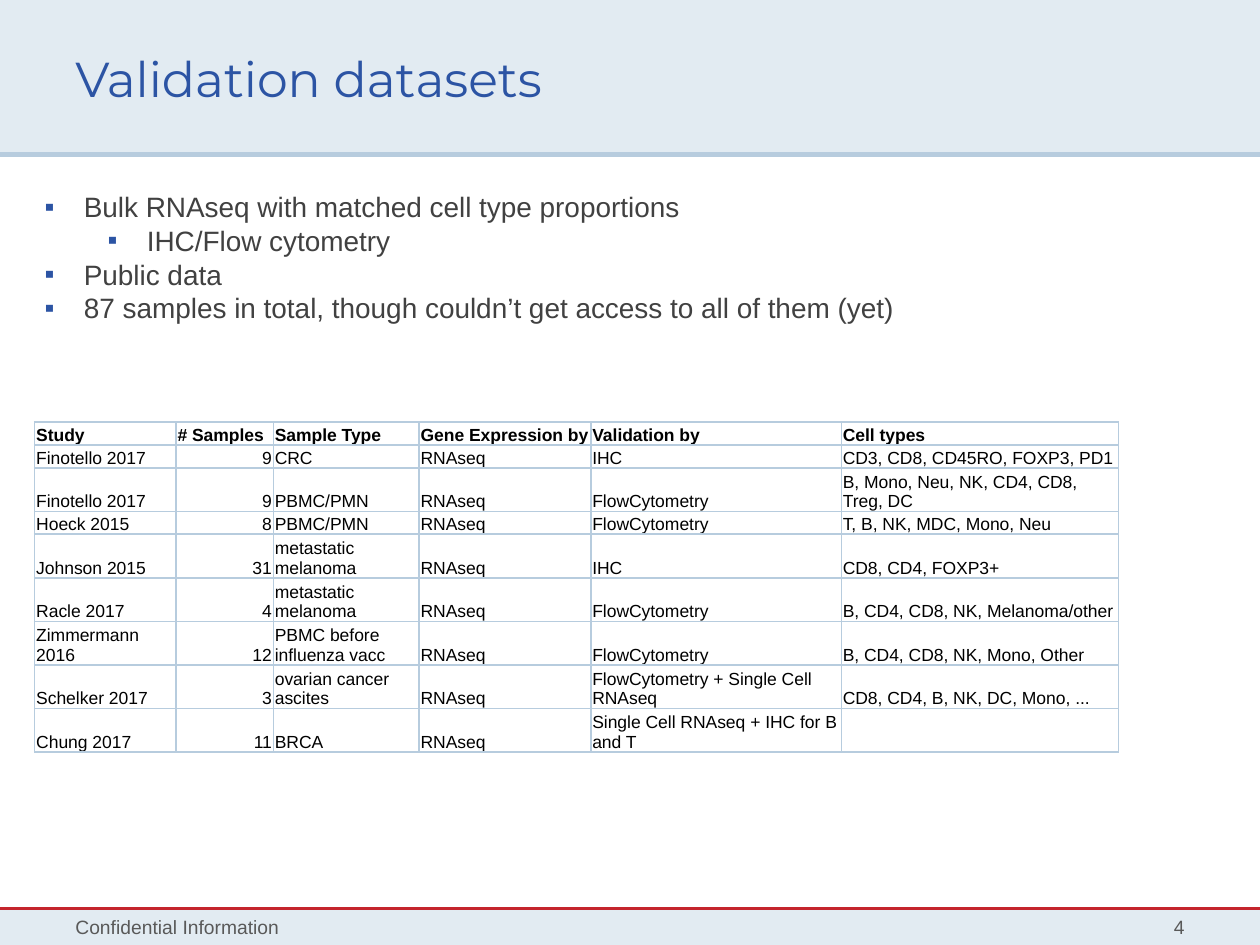
from dataclasses import dataclass
from lxml.etree import SubElement
from pptx import Presentation
from pptx.dml.color import RGBColor
from pptx.enum.shapes import MSO_CONNECTOR, MSO_SHAPE
from pptx.enum.text import MSO_ANCHOR, PP_ALIGN
from pptx.oxml.ns import qn
from pptx.util import Cm, Pt


@dataclass(frozen=True)
class Theme:
    band: str = "E2EBF2"
    rule: str = "B7CCDE"
    accent: str = "2C54A4"
    alert: str = "C4252D"
    body: str = "414141"
    muted: str = "595959"
    ink: str = "000000"
    heading_font: str = "Montserrat"
    body_font: str = "Arial"
    title_size: int = 28
    bullet_size: int = 16
    footer_size: int = 11
    table_size: int = 10


THEME = Theme()
WIDTH, HEIGHT = 25.4, 19.05

BULLETS = [
    ("Bulk RNAseq with matched cell type proportions", 0),
    ("IHC/Flow cytometry", 1),
    ("Public data", 0),
    ("87 samples in total, though couldn’t get access to all of them (yet)", 0),
]
COLUMN_WIDTHS = [2.85, 1.96, 2.94, 3.46, 5.05, 5.59]
SAMPLES_COLUMN = 1
STUDIES = [
    ("Study", "# Samples", "Sample Type", "Gene Expression by", "Validation by", "Cell types"),
    ("Finotello 2017", "9", "CRC", "RNAseq", "IHC", "CD3, CD8, CD45RO, FOXP3, PD1"),
    ("Finotello 2017", "9", "PBMC/PMN", "RNAseq", "FlowCytometry",
     "B, Mono, Neu, NK, CD4, CD8, Treg, DC"),
    ("Hoeck 2015", "8", "PBMC/PMN", "RNAseq", "FlowCytometry", "T, B, NK, MDC, Mono, Neu"),
    ("Johnson 2015", "31", "metastatic melanoma", "RNAseq", "IHC", "CD8, CD4, FOXP3+"),
    ("Racle 2017", "4", "metastatic melanoma", "RNAseq", "FlowCytometry",
     "B, CD4, CD8, NK, Melanoma/other"),
    ("Zimmermann 2016", "12", "PBMC before influenza vacc", "RNAseq", "FlowCytometry",
     "B, CD4, CD8, NK, Mono, Other"),
    ("Schelker 2017", "3", "ovarian cancer ascites", "RNAseq",
     "FlowCytometry + Single Cell RNAseq", "CD8, CD4, B, NK, DC, Mono, ..."),
    ("Chung 2017", "11", "BRCA", "RNAseq", "Single Cell RNAseq + IHC for B and T", ""),
]


def write(paragraph, text, *, size, color, font=THEME.body_font, bold=False, align=PP_ALIGN.LEFT):
    paragraph.alignment = align
    if text:
        run = paragraph.add_run()
        run.text = text
        run.font.name = font
        run.font.size = Pt(size)
        run.font.bold = bold
        run.font.color.rgb = RGBColor.from_string(color)


def add_frame(slide, left, top, width, height, anchor=MSO_ANCHOR.MIDDLE):
    frame = slide.shapes.add_textbox(Cm(left), Cm(top), Cm(width), Cm(height)).text_frame
    frame.word_wrap = True
    frame.vertical_anchor = anchor
    return frame


def add_band(slide, left, top, width, height):
    band = slide.shapes.add_shape(MSO_SHAPE.RECTANGLE, Cm(left), Cm(top), Cm(width), Cm(height))
    band.shadow.inherit = False
    band.fill.solid()
    band.fill.fore_color.rgb = RGBColor.from_string(THEME.band)
    band.line.fill.background()


def add_rule(slide, left, top, width, color, weight):
    rule = slide.shapes.add_connector(
        MSO_CONNECTOR.STRAIGHT, Cm(left), Cm(top), Cm(left + width), Cm(top))
    rule.line.color.rgb = RGBColor.from_string(color)
    rule.line.width = Pt(weight)
    SubElement(rule._element.spPr, qn("a:effectLst"))


def add_header(slide, left, top, width, height, title):
    add_band(slide, left, top, width, height)
    add_rule(slide, left, top + height, width, THEME.rule, 3)
    frame = add_frame(slide, left + 1.27, top + 0.84, 19.23, 1.45)
    write(frame.paragraphs[0], title, size=THEME.title_size, color=THEME.accent,
          font=THEME.heading_font)


def add_footer(slide, left, top, width, height, notice, number):
    add_band(slide, left, top, width, height)
    add_rule(slide, left, top, width, THEME.alert, 1.5)
    margin, number_width = 1.27, 5.92
    parts = [
        (notice, left + margin, 14.63, PP_ALIGN.LEFT),
        (number, left + width - margin - number_width, number_width, PP_ALIGN.RIGHT),
    ]
    for text, part_left, part_width, align in parts:
        frame = add_frame(slide, part_left, top, part_width, height)
        write(frame.paragraphs[0], text, size=THEME.footer_size, color=THEME.muted, align=align)


def add_bullet(paragraph, level):
    paragraph.level = level
    properties = paragraph._p.get_or_add_pPr()
    properties.set("marL", str(Cm(0.79 + 1.27 * level)))
    properties.set("indent", str(-Cm(0.79)))
    color = SubElement(properties, qn("a:buClr"))
    SubElement(color, qn("a:srgbClr"), val=THEME.accent)
    SubElement(properties, qn("a:buFont"), typeface=THEME.body_font)
    SubElement(properties, qn("a:buChar"), char="▪")


def add_bullets(slide, left, top, width, height, bullets):
    frame = add_frame(slide, left, top, width, height, MSO_ANCHOR.TOP)
    frame.margin_left = frame.margin_right = Cm(0.2)
    frame.margin_top = frame.margin_bottom = Cm(0.1)
    for index, (text, level) in enumerate(bullets):
        paragraph = frame.add_paragraph() if index else frame.paragraphs[0]
        add_bullet(paragraph, level)
        write(paragraph, text, size=THEME.bullet_size, color=THEME.body)


def set_borders(cell, color, weight):
    properties = cell._tc.get_or_add_tcPr()
    for index, side in enumerate(("lnL", "lnR", "lnT", "lnB")):
        border = SubElement(properties, qn(f"a:{side}"), w=str(Pt(weight)))
        fill = SubElement(border, qn("a:solidFill"))
        SubElement(fill, qn("a:srgbClr"), val=color)
        properties.insert(index, border)


def add_studies(slide, left, top, widths, row_height, studies):
    table = slide.shapes.add_table(
        len(studies), len(widths), Cm(left), Cm(top),
        Cm(sum(widths)), Cm(row_height * len(studies))).table
    table.first_row = table.horz_banding = False
    for column, width in zip(table.columns, widths):
        column.width = Cm(width)
    for row, study in enumerate(studies):
        for column, text in enumerate(study):
            cell = table.cell(row, column)
            cell.fill.background()
            cell.vertical_anchor = MSO_ANCHOR.BOTTOM
            cell.margin_left = cell.margin_right = cell.margin_top = Cm(0.03)
            cell.margin_bottom = Cm(0)
            set_borders(cell, THEME.rule, 1)
            is_count = row > 0 and column == SAMPLES_COLUMN
            write(cell.text_frame.paragraphs[0], text, size=THEME.table_size, color=THEME.ink,
                  bold=row == 0, align=PP_ALIGN.RIGHT if is_count else PP_ALIGN.LEFT)


def build():
    presentation = Presentation()
    presentation.slide_width, presentation.slide_height = Cm(WIDTH), Cm(HEIGHT)
    slide = presentation.slides.add_slide(presentation.slide_layouts[6])
    footer_height = 0.74
    add_header(slide, 0, 0, WIDTH, 3.12, "Validation datasets")
    add_footer(slide, 0, HEIGHT - footer_height, WIDTH, footer_height,
               "Confidential Information", "4")
    add_studies(slide, 0.7, 8.51, COLUMN_WIDTHS, 0.46, STUDIES)
    add_bullets(slide, 0.7, 3.73, 22, 2.95, BULLETS)
    presentation.save("out.pptx")


build()
